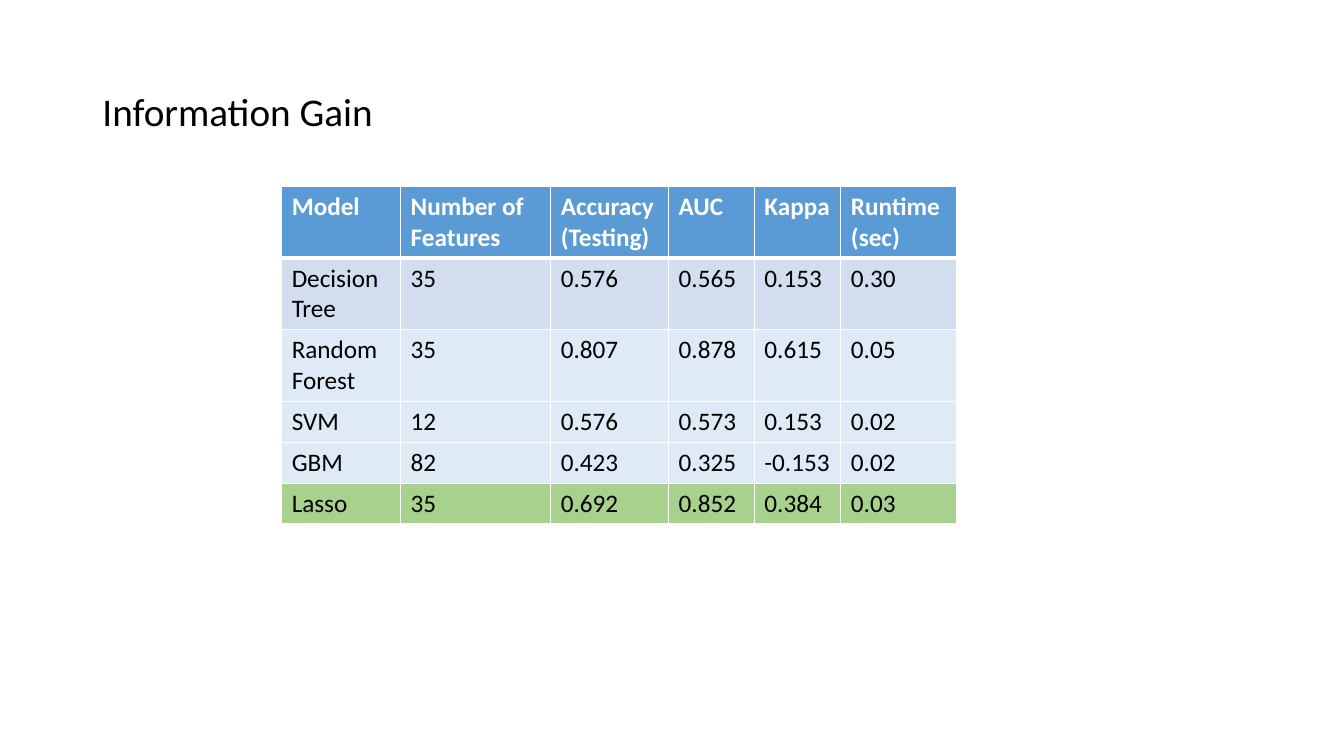
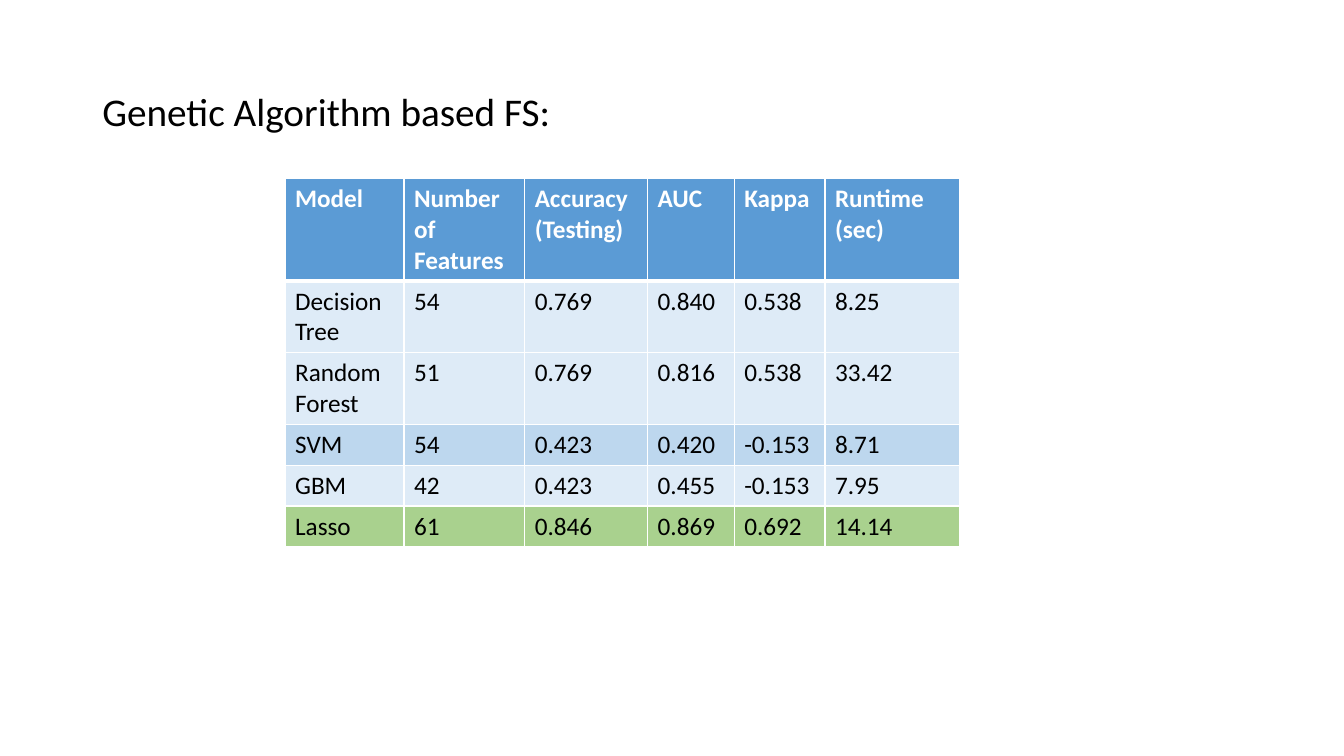
"""Build two slides comparing models after two ways of selecting features."""
from dataclasses import dataclass

from lxml.etree import SubElement
from pptx import Presentation
from pptx.dml.color import RGBColor as Rgb
from pptx.enum.text import MSO_ANCHOR as Anchor, PP_ALIGN as Align
from pptx.oxml.ns import qn
from pptx.presentation import Presentation as Deck
from pptx.slide import Slide
from pptx.table import _Cell as Cell
from pptx.util import Pt


@dataclass(frozen=True)
class Theme:
    """Colours, font and type sizes shared by the slides."""
    font: str = "Calibri"
    title_size: float = 28
    table_size: float = 18
    text: str = "000000"
    header_text: str = "FFFFFF"
    header: str = "5B9BD5"
    band: str = "D2DEEF"
    light: str = "DEEBF7"
    accent: str = "BDD7EE"
    best: str = "A9D18E"
    rule: str = "FFFFFF"
    thin_rule: float = 1
    thick_rule: float = 3


THEME = Theme()
TITLE_ONLY = 5
ROW_HEIGHT = 29.2
HEADINGS = ("Model", "Number of Features", "Accuracy (Testing)", "AUC", "Kappa", "Runtime (sec)")


@dataclass(frozen=True)
class Result:
    """One model's scores and the fill of its row."""
    scores: tuple[str, ...]
    fill: str = THEME.light


@dataclass(frozen=True)
class Comparison:
    """The title and results table of one slide, in points."""
    title: str
    left: float
    top: float
    widths: tuple[float, ...]
    results: tuple[Result, ...]


COMPARISONS = (
    Comparison(
        "Information Gain", 201.2, 133.2, (85, 107.2, 84.2, 61.3, 61.8, 82.6),
        (
            Result(("Decision Tree", "35", "0.576", "0.565", "0.153", "0.30"), THEME.band),
            Result(("Random Forest", "35", "0.807", "0.878", "0.615", "0.05")),
            Result(("SVM", "12", "0.576", "0.573", "0.153", "0.02")),
            Result(("GBM", "82", "0.423", "0.325", "-0.153", "0.02")),
            Result(("Lasso", "35", "0.692", "0.852", "0.384", "0.03"), THEME.best),
        ),
    ),
    Comparison(
        "Genetic Algorithm based FS:", 203.6, 127.6, (85, 86.2, 87.8, 61.9, 64.8, 96.3),
        (
            Result(("Decision Tree", "54", "0.769", "0.840", "0.538", "8.25")),
            Result(("Random Forest", "51", "0.769", "0.816", "0.538", "33.42")),
            Result(("SVM", "54", "0.423", "0.420", "-0.153", "8.71"), THEME.accent),
            Result(("GBM", "42", "0.423", "0.455", "-0.153", "7.95")),
            Result(("Lasso", "61", "0.846", "0.869", "0.692", "14.14"), THEME.best),
        ),
    ),
)


def add_title(slide: Slide, wording: str) -> None:
    """Fill and place the title placeholder."""
    title = slide.shapes.title
    title.left, title.top, title.width, title.height = Pt(66), Pt(28.8), Pt(828), Pt(104.4)
    frame = title.text_frame
    frame.text = wording
    frame.word_wrap = True
    frame.vertical_anchor = Anchor.MIDDLE
    line = frame.paragraphs[0]
    line.alignment = Align.LEFT
    line.line_spacing = 0.9
    line.font.name = THEME.font
    line.font.size = Pt(THEME.title_size)
    line.font.color.rgb = Rgb.from_string(THEME.text)


def rule_cell(cell: Cell, top: float, bottom: float) -> None:
    """Draw the four borders of a cell."""
    properties = cell._tc.get_or_add_tcPr()
    weights = {"a:lnL": THEME.thin_rule, "a:lnR": THEME.thin_rule, "a:lnT": top, "a:lnB": bottom}
    for side, weight in weights.items():
        border = SubElement(properties, qn(side), w=str(int(Pt(weight))))
        SubElement(SubElement(border, qn("a:solidFill")), qn("a:srgbClr"), val=THEME.rule)


def fill_cell(cell: Cell, wording: str, fill: str, row: int) -> None:
    """Write and format one cell; row 0 is the header."""
    is_header = row == 0
    rule_cell(
        cell,
        top=THEME.thick_rule if row == 1 else THEME.thin_rule,
        bottom=THEME.thick_rule if is_header else THEME.thin_rule,
    )
    cell.fill.solid()
    cell.fill.fore_color.rgb = Rgb.from_string(fill)
    cell.text = wording
    font = cell.text_frame.paragraphs[0].font
    font.name = THEME.font
    font.size = Pt(THEME.table_size)
    font.bold = is_header
    font.color.rgb = Rgb.from_string(THEME.header_text if is_header else THEME.text)


def add_results(slide: Slide, comparison: Comparison) -> None:
    """Add the table of headings and model scores."""
    rows = (Result(HEADINGS, THEME.header), *comparison.results)
    table = slide.shapes.add_table(
        len(rows), len(HEADINGS), Pt(comparison.left), Pt(comparison.top),
        Pt(sum(comparison.widths)), Pt(ROW_HEIGHT * len(rows)),
    ).table
    table.horz_banding = False
    for column, width in zip(table.columns, comparison.widths):
        column.width = Pt(width)
    for row, result in enumerate(rows):
        table.rows[row].height = Pt(ROW_HEIGHT)
        for column, score in enumerate(result.scores):
            fill_cell(table.cell(row, column), score, result.fill, row)


def add_comparison(deck: Deck, comparison: Comparison) -> None:
    """Add one slide with its title and table."""
    slide = deck.slides.add_slide(deck.slide_layouts[TITLE_ONLY])
    add_title(slide, comparison.title)
    add_results(slide, comparison)


def main() -> None:
    """Build and save the presentation."""
    deck = Presentation()
    deck.slide_width, deck.slide_height = Pt(960), Pt(540)
    for comparison in COMPARISONS:
        add_comparison(deck, comparison)
    deck.save("out.pptx")


if __name__ == "__main__":
    main()
